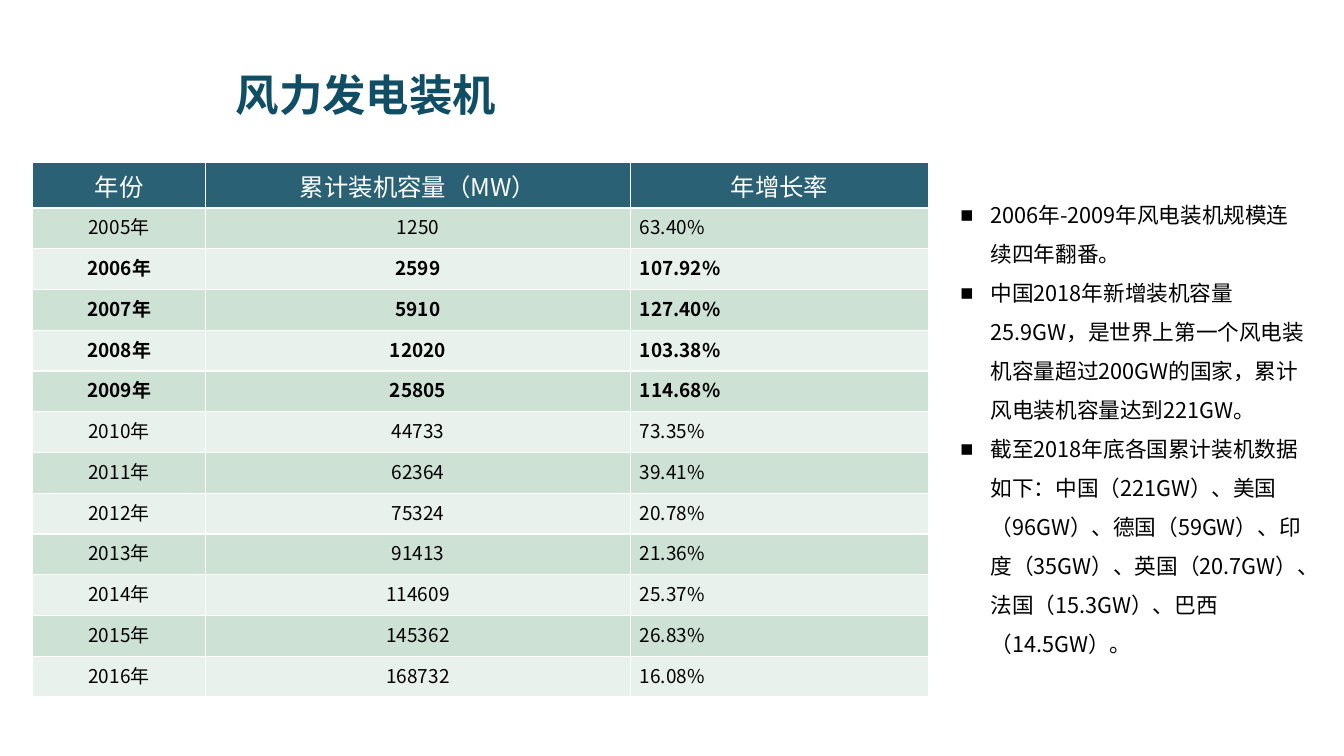
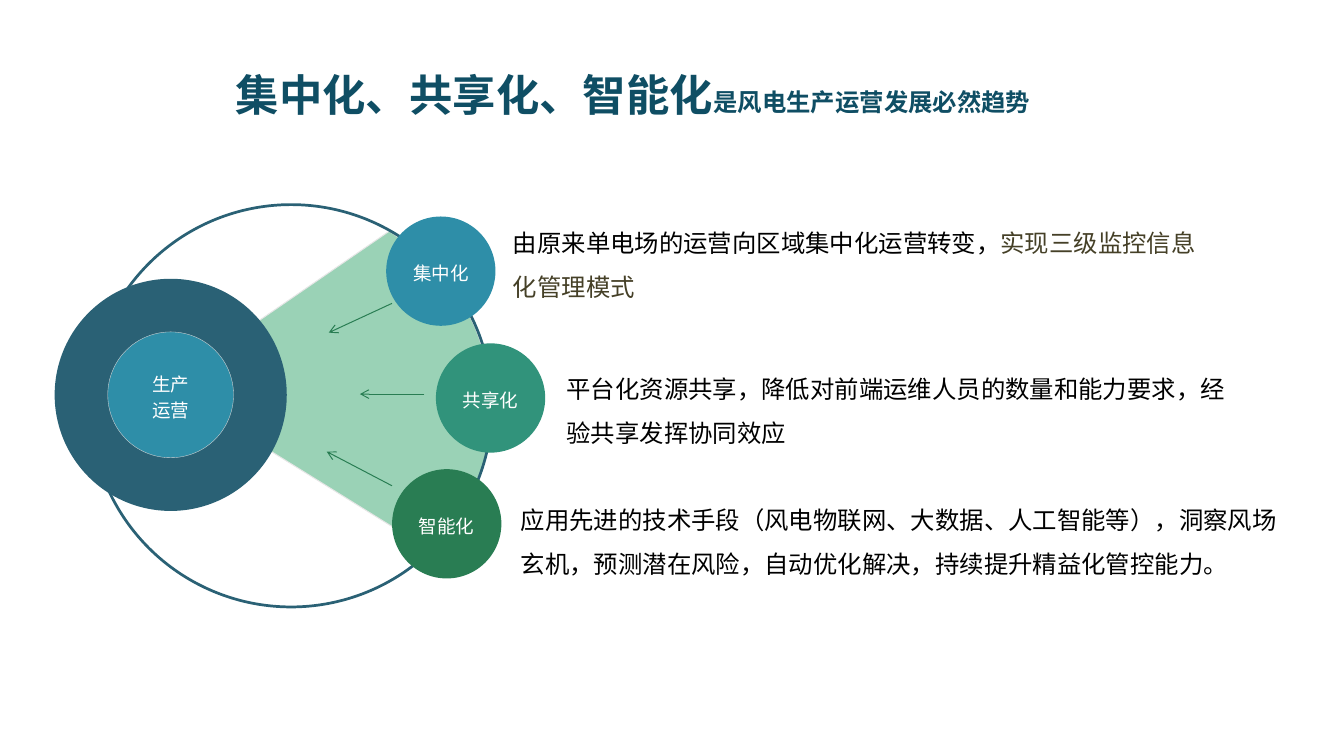
from lxml.etree import SubElement
from pptx import Presentation
from pptx.dml.color import RGBColor
from pptx.enum.shapes import MSO_CONNECTOR, MSO_SHAPE
from pptx.enum.text import MSO_ANCHOR, PP_ALIGN
from pptx.oxml.ns import qn
from pptx.util import Inches, Pt

WIDTH, HEIGHT = Inches(13.78), Inches(7.75)

TITLE = RGBColor(0x0F, 0x4E, 0x64)
NAVY = RGBColor(0x2A, 0x61, 0x75)
BLUE = RGBColor(0x2E, 0x8E, 0xA8)
TEAL = RGBColor(0x31, 0x93, 0x7B)
GREEN = RGBColor(0x29, 0x7D, 0x53)
WEDGE = RGBColor(0x37, 0xA7, 0x6F)
WEDGE_EDGE = RGBColor(0xE6, 0xE6, 0xE6)
HUB_EDGE = RGBColor(0xD7, 0xD7, 0xD7)
BANDS = RGBColor(0xCE, 0xE1, 0xD5), RGBColor(0xE8, 0xF1, 0xEB)
BROWN = RGBColor(0x45, 0x40, 0x27)
BLACK = RGBColor(0, 0, 0)
WHITE = RGBColor(255, 255, 255)

CJK = "Noto Sans CJK SC"

CAPACITY = [
    ("年份", "累计装机容量（MW）", "年增长率"),
    ("2005年", "1250", "63.40%"),
    ("2006年", "2599", "107.92%"),
    ("2007年", "5910", "127.40%"),
    ("2008年", "12020", "103.38%"),
    ("2009年", "25805", "114.68%"),
    ("2010年", "44733", "73.35%"),
    ("2011年", "62364", "39.41%"),
    ("2012年", "75324", "20.78%"),
    ("2013年", "91413", "21.36%"),
    ("2014年", "114609", "25.37%"),
    ("2015年", "145362", "26.83%"),
    ("2016年", "168732", "16.08%"),
]
DOUBLING_ROWS = range(2, 6)

FINDINGS = [
    "2006年-2009年风电装机规模连续四年翻番。",
    "中国2018年新增装机容量25.9GW，是世界上第一个风电装机容量超过200GW的国家，"
    "累计风电装机容量达到221GW。",
    "截至2018年底各国累计装机数据如下：中国（221GW）、美国（96GW）、德国（59GW）、"
    "印度（35GW）、英国（20.7GW）、法国（15.3GW）、巴西（14.5GW）。",
]

# label, colour, circle centre, text left/top/width, text runs
TRENDS = [
    ("集中化", BLUE, (32.8, 35.87), (37.45, 27.61, 53.99),
     [("由原来单电场的运营向区域集中化运营转变，", BLACK),
      ("实现三级监控信息化管理模式", BROWN)]),
    ("共享化", TEAL, (36.5, 52.65), (41.44, 46.97, 51.16),
     [("平台化资源共享，降低对前端运维人员的数量和能力要求，经验共享发挥协同效应", BLACK)]),
    ("智能化", GREEN, (33.24, 69.29), (38.03, 64.26, 58.71),
     [("应用先进的技术手段（风电物联网、大数据、人工智能等），洞察风场玄机，"
       "预测潜在风险，自动优化解决，持续提升精益化管控能力。", BLACK)]),
]
ARROWS = [
    ((29.17, 64.26), (24.31, 59.74)),
    ((31.57, 52.13), (26.78, 52.13)),
    ((29.17, 40.13), (24.46, 44)),
]


def col(n):
    """Length of n hundredths of the slide width."""
    return round(WIDTH * n / 100)


def row(n):
    """Length of n hundredths of the slide height."""
    return round(HEIGHT * n / 100)


def style(r, size, color, bold=False, font=CJK):
    r.font.size, r.font.bold, r.font.name = Pt(size), bold, font
    r.font.color.rgb = color
    SubElement(r.font._element, qn("a:ea"), typeface=CJK)


def add_text(s, x, y, w, h):
    tf = s.shapes.add_textbox(col(x), row(y), col(w), row(h)).text_frame
    tf.word_wrap = True
    return tf


def add_run(p, text, *look, **options):
    r = p.add_run()
    r.text = text
    style(r, *look, **options)


def add_title(s, text, tail="", width=58.27):
    tf = add_text(s, 16.84, 8.39, width, 8.26)
    tf.vertical_anchor = MSO_ANCHOR.MIDDLE
    p = tf.paragraphs[0]
    for part, size in ((text, 32), (tail, 18)):
        if part:
            add_run(p, part, size, TITLE, bold=True, font="Lato")


def add_bullets(s, items, x, y, w, h):
    tf = add_text(s, x, y, w, h)
    for i, item in enumerate(items):
        p = tf.add_paragraph() if i else tf.paragraphs[0]
        p.line_spacing = 1.5
        pPr = p._p.get_or_add_pPr()
        indent = Inches(0.31)
        pPr.set("marL", str(indent))
        pPr.set("indent", str(-indent))
        SubElement(pPr, qn("a:buFont"), typeface="Arial")
        SubElement(pPr, qn("a:buChar"), char="■")
        add_run(p, item, 16, BLACK)


def add_capacity_table(s, x, y, widths, row_height):
    n = len(CAPACITY)
    table = s.shapes.add_table(n, len(widths), col(x), row(y),
                               col(sum(widths)), row(row_height * n)).table
    for column, width in zip(table.columns, widths):
        column.width = col(width)
    for i, values in enumerate(CAPACITY):
        table.rows[i].height = row(row_height)
        for j, value in enumerate(values):
            cell = table.cell(i, j)
            cell.fill.solid()
            cell.fill.fore_color.rgb = BANDS[(i - 1) % 2] if i else NAVY
            p = cell.text_frame.paragraphs[0]
            p.alignment = PP_ALIGN.LEFT if i and j == 2 else PP_ALIGN.CENTER
            add_run(p, value, 14 if i else 18, BLACK if i else WHITE,
                    bold=i in DOUBLING_ROWS)


def paint(shape, fill=None, line=None, weight=0.75):
    shape.shadow.inherit = False
    if fill is None:
        shape.fill.background()
    else:
        shape.fill.solid()
        shape.fill.fore_color.rgb = fill
    if line is None:
        shape.line.fill.background()
    else:
        shape.line.color.rgb = line
        shape.line.width = Pt(weight)


def add_circle(s, center, diameter, labels=(), **look):
    """Circle by its centre (column, row) and its diameter in columns."""
    d = col(diameter)
    circle = s.shapes.add_shape(MSO_SHAPE.OVAL, col(center[0]) - d // 2,
                                row(center[1]) - d // 2, d, d)
    paint(circle, **look)
    tf = circle.text_frame
    tf.vertical_anchor = MSO_ANCHOR.MIDDLE
    tf.margin_left = tf.margin_right = tf.margin_top = tf.margin_bottom = 0
    for i, label in enumerate(labels):
        p = tf.add_paragraph() if i else tf.paragraphs[0]
        p.alignment, p.line_spacing = PP_ALIGN.CENTER, 1.2
        add_run(p, label, 13.7, WHITE, font="Arial")


def add_arrow(s, start, end):
    line = s.shapes.add_connector(MSO_CONNECTOR.STRAIGHT, col(start[0]),
                                  row(start[1]), col(end[0]), row(end[1]))
    line.line.color.rgb = GREEN
    line.line.width = Pt(0.75)
    SubElement(line.line._get_or_add_ln(), qn("a:tailEnd"), type="arrow")
    SubElement(line._element.spPr, qn("a:effectLst"))


def curve(a, b, c, d, steps=16):
    """Points of a cubic Bezier curve, both ends included."""
    for i in range(steps + 1):
        t = i / steps
        u = 1 - t
        yield tuple(u**3 * k + 3 * u * u * t * m + 3 * u * t * t * n + t**3 * q
                    for k, m, n, q in zip(a, b, c, d))


def add_wedge(s):
    shoulder, rim = (34.47, 40.26), (36.57, 53.42)
    outline = [
        *curve(shoulder, (32.08, 34.58), (32.66, 34.97), (28.96, 30.58)),
        (12.26, 50.97),
        *curve((32, 72.77), (36.79, 62.45), (36.36, 58.84), rim),
        *curve(rim, (36.43, 48.9), (35.85, 44.26), shoulder),
    ]
    points = [(col(x), row(y)) for x, y in outline]
    builder = s.shapes.build_freeform(*points[0])
    builder.add_line_segments(points[1:], close=True)
    wedge = builder.convert_to_shape()
    paint(wedge, WEDGE, WEDGE_EDGE)
    color = wedge._element.spPr.find(qn("a:solidFill"))[0]
    SubElement(color, qn("a:alpha"), val="50000")


def capacity_slide(s):
    add_capacity_table(s, 2.4, 21.55, (12.92, 31.57, 22.21), 5.39)
    add_bullets(s, FINDINGS, 70.75, 24.39, 27.43, 63.23)
    add_title(s, "风力发电装机")


def trends_slide(s):
    add_wedge(s)
    add_circle(s, (21.66, 53.68), 29.93, line=NAVY, weight=2)
    for start, end in ARROWS:
        add_arrow(s, start, end)
    hub = 12.7, 52.23
    add_circle(s, hub, 17.27, fill=NAVY)
    add_circle(s, hub, 9.36, ("生产", "运营"), fill=BLUE, line=HUB_EDGE, weight=0.25)
    for label, color, center, place, runs in TRENDS:
        add_circle(s, center, 8.13, (label,), fill=color)
        p = add_text(s, *place, 13.03).paragraphs[0]
        p.line_spacing = 1.5
        for text, text_color in runs:
            add_run(p, text, 18, text_color)
    add_title(s, "集中化、共享化、智能化", "是风电生产运营发展必然趋势", 74.6)


def main():
    prs = Presentation()
    prs.slide_width, prs.slide_height = WIDTH, HEIGHT
    for build in (capacity_slide, trends_slide):
        build(prs.slides.add_slide(prs.slide_layouts[6]))
    prs.save("out.pptx")


if __name__ == "__main__":
    main()
